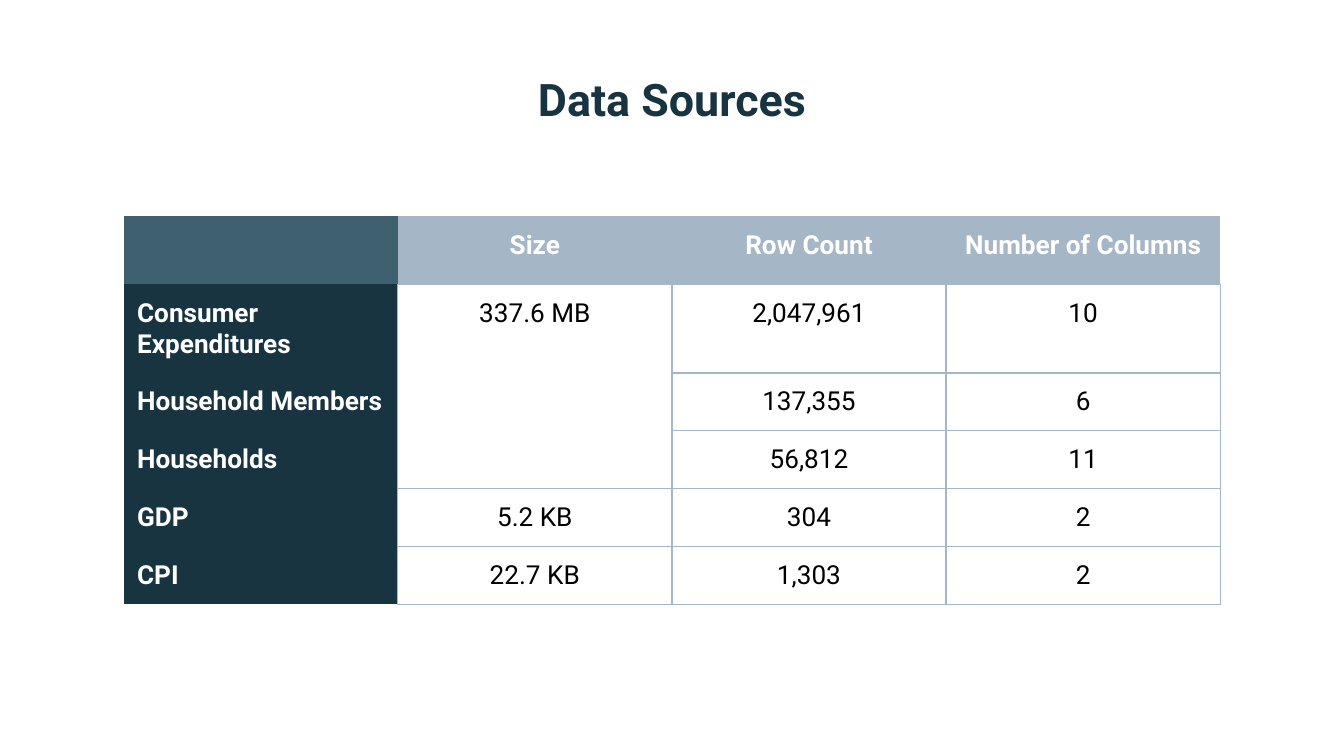
import pptx
import pptx.dml.color
import pptx.enum.text
import pptx.oxml
import pptx.oxml.ns
import pptx.util
from dataclasses import dataclass

Inches = pptx.util.Inches
Pt = pptx.util.Pt
RGBColor = pptx.dml.color.RGBColor
PP_ALIGN = pptx.enum.text.PP_ALIGN
MSO_ANCHOR = pptx.enum.text.MSO_ANCHOR


@dataclass(frozen=True)
class Theme:
    font: str = "Roboto"
    navy: str = "193441"
    teal: str = "3E606F"
    mist: str = "A5B7C6"
    white: str = "FFFFFF"
    black: str = "000000"
    title_size: float = 24
    table_size: float = 14
    border_width: float = 0.75


theme = Theme()


def add_run(paragraph, text, size, color, bold):
    run = paragraph.add_run()
    run.text = text
    run.font.name = theme.font
    run.font.size = Pt(size)
    run.font.bold = bold
    run.font.color.rgb = RGBColor.from_string(color)


def set_borders(cell, drawn_sides):
    """Draw the sides named in drawn_sides (letters of LRTB) and clear the others."""
    properties = cell._tc.get_or_add_tcPr()
    for position, side in enumerate("LRTB"):
        if side in drawn_sides:
            paint = f'<a:solidFill><a:srgbClr val="{theme.mist}"/></a:solidFill>'
        else:
            paint = "<a:noFill/>"
        line = pptx.oxml.parse_xml(
            f'<a:ln{side} {pptx.oxml.ns.nsdecls("a")} w="{Pt(theme.border_width)}">'
            f"{paint}</a:ln{side}>"
        )
        properties.insert(position, line)


presentation = pptx.Presentation()
presentation.slide_width = Inches(10)
presentation.slide_height = Inches(10 * 9 / 16)
slide = presentation.slides.add_slide(presentation.slide_layouts[5])

title = slide.shapes.title
title.left, title.top = Inches(0.87), Inches(0.42)
title.width, title.height = Inches(8.26), Inches(0.63)
title_frame = title.text_frame
title_frame.margin_left = title_frame.margin_right = Inches(0.1)
title_frame.margin_top = title_frame.margin_bottom = Inches(0.1)
title_frame.vertical_anchor = MSO_ANCHOR.MIDDLE
title_frame.paragraphs[0].alignment = PP_ALIGN.CENTER
add_run(title_frame.paragraphs[0], "Data Sources", theme.title_size, theme.navy, True)

rows = [
    ["", "Size", "Row Count", "Number of Columns"],
    ["Consumer Expenditures", "337.6 MB", "2,047,961", "10"],
    ["Household Members", "", "137,355", "6"],
    ["Households", "", "56,812", "11"],
    ["GDP", "5.2 KB", "304", "2"],
    ["CPI", "22.7 KB", "1,303", "2"],
]
row_heights = [0.47, 0.66] + [0.43] * 4
column_width = 2.04

table = slide.shapes.add_table(
    len(rows), len(rows[0]), Inches(0.92), Inches(1.61),
    Inches(column_width * len(rows[0])), Inches(sum(row_heights)),
).table
table.first_row = False
table.horz_banding = False
for column in table.columns:
    column.width = Inches(column_width)
for row, height in zip(table.rows, row_heights):
    row.height = Inches(height)

for row_index, texts in enumerate(rows):
    for column_index, text in enumerate(texts):
        cell = table.cell(row_index, column_index)
        is_header, is_label = row_index == 0, column_index == 0
        if is_header:
            fill, borders = (theme.teal, "") if is_label else (theme.mist, "B")
        else:
            fill, borders = (theme.navy, "R") if is_label else (None, "LRTB")

        if fill:
            cell.fill.solid()
            cell.fill.fore_color.rgb = RGBColor.from_string(fill)
        else:
            cell.fill.background()
        set_borders(cell, borders)

        cell.margin_left = cell.margin_right = Inches(0.1)
        cell.margin_top = cell.margin_bottom = Inches(0.1)
        if text:
            paragraph = cell.text_frame.paragraphs[0]
            paragraph.alignment = PP_ALIGN.LEFT if is_label else PP_ALIGN.CENTER
            color = theme.white if fill else theme.black
            add_run(paragraph, text, theme.table_size, color, bool(fill))

# The three survey tables share one size
table.cell(1, 1).merge(table.cell(3, 1))

presentation.save("out.pptx")
